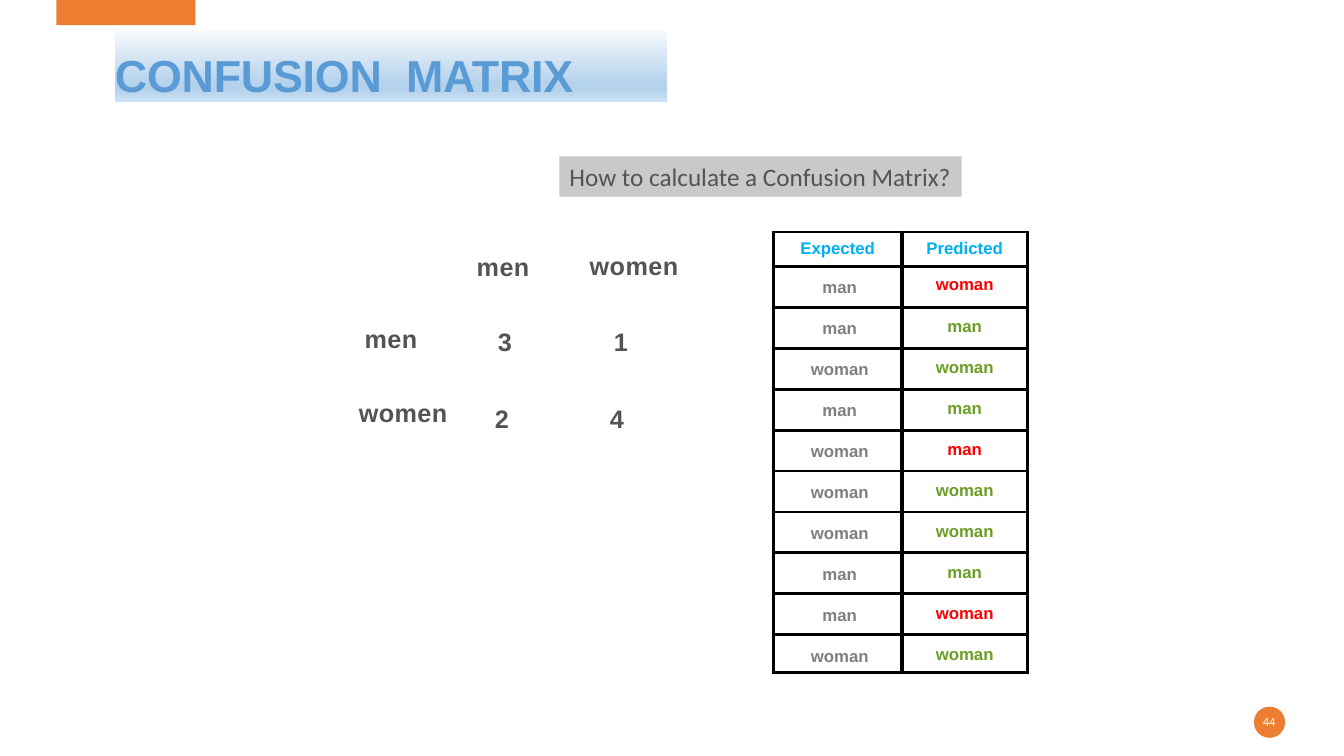
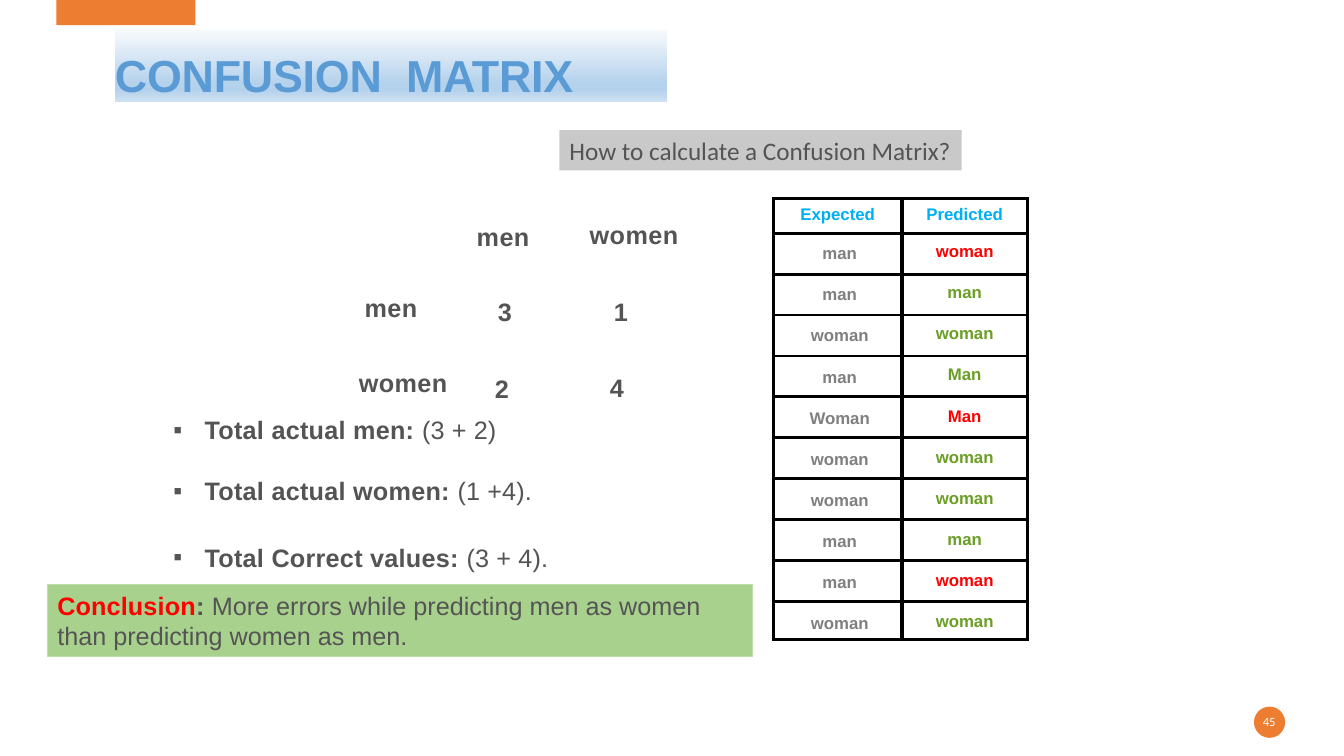
"""Two slides that explain how a confusion matrix is worked out."""
from pptx import Presentation, util as u
from pptx.dml.color import RGBColor
from pptx.enum import shapes, text
from pptx.oxml import parse_xml
from pptx.oxml.ns import nsdecls

ORANGE = RGBColor(0xED, 0x7D, 0x31)
BLUE = RGBColor(0x5B, 0x9B, 0xD5)
CYAN = RGBColor(0x00, 0xAF, 0xF0)
WHITE = RGBColor(0xFF, 0xFF, 0xFF)
DARK = RGBColor(0x54, 0x54, 0x54)
SILVER = RGBColor(0xC9, 0xC9, 0xC9)
GRAY = RGBColor(0x7F, 0x7F, 0x7F)
RED = RGBColor(0xFF, 0x00, 0x00)
GREEN = RGBColor(0x6B, 0x9E, 0x24)
LIME = RGBColor(0xA9, 0xD1, 0x8E)
EDGE = RGBColor(0xBE, 0xDC, 0xAA)
BLACK = RGBColor(0, 0, 0)
FADE = ((0, "F7FAFD"), (74, "B5D2EC"), (83, "B5D2EC"), (100, "CEE1F2"))
RECT = shapes.MSO_SHAPE.RECTANGLE
OVAL = shapes.MSO_SHAPE.OVAL
MID = text.MSO_ANCHOR.MIDDLE
CENTER = text.PP_ALIGN.CENTER

deck = Presentation()
deck.slide_width, deck.slide_height = u.Inches(13.33), u.Inches(7.5)
COL, ROW = deck.slide_width / 100, deck.slide_height / 100


def write(para, words, size=18, face="Arial", tint=DARK, bold=False, gap=0, align=None):
    """Add a formatted run to a paragraph."""
    run = para.add_run()
    run.text = words
    font = run.font
    font.size, font.name, font.bold = u.Pt(size), face, bold
    font.color.rgb = tint
    if gap:
        run._r.get_or_add_rPr().set("spc", str(round(gap * 100)))
    if align is not None:
        para.alignment = align


def box(slide, x, y, w, h, kind=None, fill=None, inset=True):
    """Add a shape or text box, placed in hundredths of the slide."""
    place = [round(n) for n in (x * COL, y * ROW, w * COL, h * ROW)]
    if kind is None:
        item = slide.shapes.add_textbox(*place)
    else:
        item = slide.shapes.add_shape(kind, *place)
        item.shadow.inherit = False
        item.fill.solid()
        item.fill.fore_color.rgb = fill
        item.line.fill.background()
    frame = item.text_frame
    frame.word_wrap = True
    frame.vertical_anchor = MID
    if not inset:
        frame.margin_left = frame.margin_right = frame.margin_top = frame.margin_bottom = 0
    return item


MATRIX = (
    ("men", 37.43, 35.3), ("women", 47.17, 35.05),
    ("men", 29.09, 44.7), ("3", 37.57, 45.2), ("1", 46.2, 45.2),
    ("women", 29.99, 54.6), ("2", 37.35, 55.4), ("4", 45.9, 55.3),
)
HEAD = ("Expected", "Predicted")
PAIRS = (
    ("man", "woman"), ("man", "man"), ("woman", "woman"), ("man", "man"),
    ("woman", "man"), ("woman", "woman"), ("woman", "woman"),
    ("man", "man"), ("man", "woman"), ("woman", "woman"),
)
MIXED = PAIRS[:3] + (("man", "Man"), ("Woman", "Man")) + PAIRS[5:]
PAGES = (
    (5, "44", 20.67, 30.67, 0, PAIRS),
    (1, "45", 17.2, 26.27, 4.07, MIXED),
)

slides = [deck.slides.add_slide(deck.slide_layouts[page[0]]) for page in PAGES]

band = box(slides[0], 4.2, 0, 10.35, 3.33, RECT, ORANGE)
disc = box(slides[0], 93.3, 93.47, 2.32, 4.13, OVAL, ORANGE)
tree = deck.slide_master.element.cSld.spTree
for num, mark in enumerate((band, disc)):
    mark._element.nvSpPr.cNvPr.id = 20 + num
    tree.insert(2 + num, mark._element)

for slide, (_, page, ask, top, lift, pairs) in zip(slides, PAGES):
    title = slide.shapes.title
    title.left, title.top = round(8.55 * COL), round(4 * ROW)
    title.width, title.height = round(41.1 * COL), round(9.47 * ROW)
    stops = "".join(
        f'<a:gs pos="{pos * 1000}"><a:srgbClr val="{tint}"/></a:gs>' for pos, tint in FADE)
    title._element.spPr.append(parse_xml(
        f'<a:gradFill {nsdecls("a")} rotWithShape="1"><a:gsLst>{stops}</a:gsLst>'
        '<a:lin ang="5400000" scaled="0"/></a:gradFill>'))
    frame = title.text_frame
    frame.auto_size = text.MSO_AUTO_SIZE.NONE
    frame.vertical_anchor = text.MSO_ANCHOR.BOTTOM
    frame.margin_left = frame.margin_right = frame.margin_top = frame.margin_bottom = 0
    para = frame.paragraphs[0]
    para.line_spacing = u.Pt(43.6)
    write(para, "CONFUSION  MATRIX", size=32, tint=BLUE, bold=True, gap=-0.2,
          align=text.PP_ALIGN.LEFT)

    label = box(slide, 93.23, 94.13, 2.4, 2.67, inset=False)
    write(label.text_frame.paragraphs[0], page, size=9, face="Calibri", tint=WHITE, align=CENTER)

    label = box(slide, 41.63, ask, 29.93, 5.33, RECT, SILVER)
    label.text_frame.word_wrap = False
    write(label.text_frame.paragraphs[0], "How to calculate a Confusion Matrix?",
          face="Calibri", align=text.PP_ALIGN.LEFT)

    for words, x, y in MATRIX:
        label = box(slide, x - 4, y - lift - 2.5, 8, 5, inset=False)
        write(label.text_frame.paragraphs[0], words, bold=True, gap=0.3, align=CENTER)

    highs = [4.6] + [5.41] * 9 + [5.07]
    wides = (9.6, 9.3)
    grid = slide.shapes.add_table(
        len(highs), len(wides), round(57.53 * COL), round(top * ROW),
        round(sum(wides) * COL), round(sum(highs) * ROW)).table
    grid.first_row = grid.horz_banding = False
    for part, wide in zip(grid.columns, wides):
        part.width = round(wide * COL)
    for r, (high, pair) in enumerate(zip(highs, (HEAD,) + pairs)):
        grid.rows[r].height = round(high * ROW)
        for c, words in enumerate(pair):
            cell = grid.cell(r, c)
            cell.margin_left = round(0.3 * COL) if r and c == 0 else 0
            cell.margin_right = cell.margin_bottom = 0
            cell.margin_top = round((1.2 + 0.03 * (r - 1) + 0.27 * (1 - c) if r else 0.93) * ROW)
            props = cell._tc.get_or_add_tcPr()
            for side in "LRTB":
                thick = 3 if side == "RL"[c] else 2.25
                props.append(parse_xml(
                    f'<a:ln{side} {nsdecls("a")} w="{u.Pt(thick)}"><a:solidFill>'
                    f'<a:srgbClr val="{BLACK}"/></a:solidFill></a:ln{side}>'))
            cell.fill.background()
            right = pair[0].lower() == pair[1].lower()
            tint = CYAN if r == 0 else GRAY if c == 0 else GREEN if right else RED
            write(cell.text_frame.paragraphs[0], words, size=12, tint=tint, bold=True, align=CENTER)

TOTALS = (
    ("Total actual men: ", "(3 + 2)", 0),
    ("Total actual women: ", "(1 +4).", 22.2),
    ("Total Correct values: ", "(3 + 4).", 25.7),
)
last = slides[-1]
body = last.placeholders[1]
body.left, body.top = round(12 * COL), round(54.13 * ROW)
body.width, body.height = round(32 * COL), round(22 * ROW)
frame = body.text_frame
frame.auto_size = text.MSO_AUTO_SIZE.NONE
for num, (name, value, space) in enumerate(TOTALS):
    para = frame.add_paragraph() if num else frame.paragraphs[0]
    props = para._p.get_or_add_pPr()
    props.set("marL", str(u.Inches(0.33)))
    props.set("indent", str(-u.Inches(0.31)))
    props.append(parse_xml(f'<a:buFont {nsdecls("a")} typeface="Arial"/>'))
    props.append(parse_xml(f'<a:buChar {nsdecls("a")} char="▪"/>'))
    para.space_before = u.Pt(space)
    write(para, name, bold=True, gap=0.2)
    write(para, value, gap=0.1)

note = box(last, 3.53, 77.33, 52.5, 9.47, RECT, LIME)
note.line.color.rgb = EDGE
note.line.width = u.Pt(0.75)
para = note.text_frame.paragraphs[0]
para.alignment = text.PP_ALIGN.LEFT
write(para, "Conclusion", tint=RED, bold=True, gap=0.1)
write(para, ": ", bold=True, gap=0.1)
write(para, "More errors while predicting men as women than predicting women as men.")

deck.save("out.pptx")
